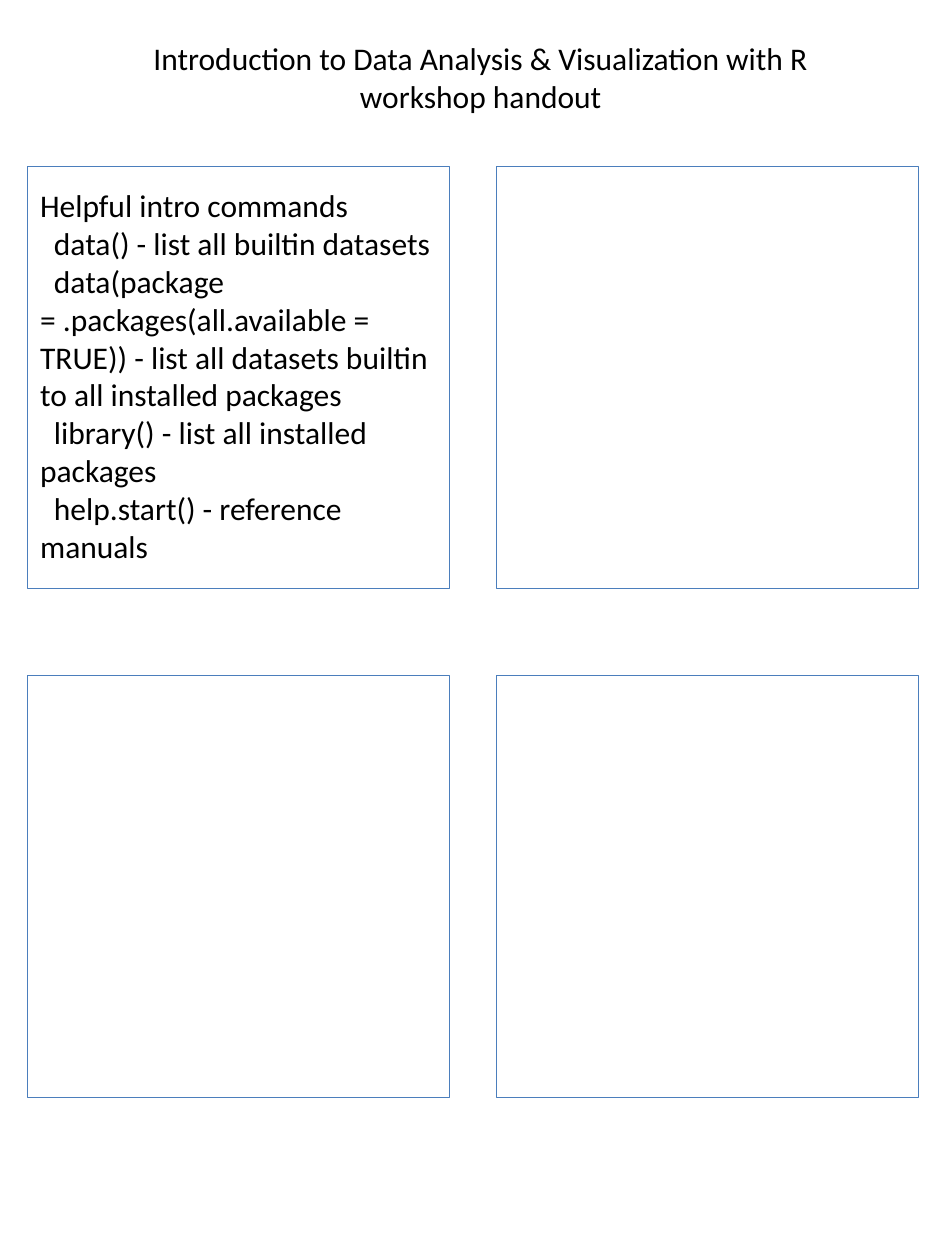
from dataclasses import dataclass
from itertools import product

from pptx import Presentation
from pptx.dml.color import RGBColor
from pptx.enum.shapes import MSO_SHAPE as Shape
from pptx.enum.text import MSO_ANCHOR as Anchor, MSO_AUTO_SIZE as AutoSize, PP_ALIGN as Align
from pptx.slide import Slide
from pptx.text.text import TextFrame
from pptx.util import Inches, Pt

COLORS = {"text": "000000", "panel_line": "4B7EBC"}
PANEL_SIZE = 3.35
PANEL_LEFTS = (0.22, 3.94)
PANEL_TOPS = (1.32, 5.36)
COMMAND_INDENT = 0.11


@dataclass
class Box:
    left: float
    top: float
    width: float
    height: float

    def lengths(self) -> tuple:
        return tuple(Inches(value) for value in (self.left, self.top, self.width, self.height))


@dataclass
class Line:
    text: str
    indent: float = 0


TITLE_BOX = Box(0.39, 0.26, 6.85, 0.71)
COMMANDS_BOX = Box(0.22, 1.43, PANEL_SIZE, 3.43)
TITLE_LINES = [
    Line("Introduction to Data Analysis & Visualization with R"),
    Line("workshop handout"),
]
COMMAND_LINES = [
    Line("Helpful intro commands"),
    Line("data() - list all builtin datasets", COMMAND_INDENT),
    Line(
        "data(package = .packages(all.available = TRUE)) - list all datasets builtin to all installed packages",
        COMMAND_INDENT,
    ),
    Line("library() - list all installed packages", COMMAND_INDENT),
    Line("help.start() - reference manuals", COMMAND_INDENT),
]


def write_lines(frame: TextFrame, lines: list[Line], alignment: Align) -> None:
    frame.word_wrap = True
    frame.auto_size = AutoSize.SHAPE_TO_FIT_TEXT
    frame.vertical_anchor = Anchor.TOP
    for index, line in enumerate(lines):
        paragraph = frame.add_paragraph() if index else frame.paragraphs[0]
        paragraph.alignment = alignment
        if line.indent:
            paragraph._p.get_or_add_pPr().set("indent", str(Inches(line.indent)))
        run = paragraph.add_run()
        run.text = line.text
        run.font.name = "Calibri"
        run.font.size = Pt(18)
        run.font.color.rgb = RGBColor.from_string(COLORS["text"])


def add_title(slide: Slide, box: Box) -> None:
    title = slide.shapes.title
    title.left, title.top, title.width, title.height = box.lengths()
    write_lines(title.text_frame, TITLE_LINES, Align.CENTER)


def add_panel(slide: Slide, box: Box) -> None:
    panel = slide.shapes.add_shape(Shape.RECTANGLE, *box.lengths())
    panel.shadow.inherit = False
    panel.fill.background()
    panel.line.color.rgb = RGBColor.from_string(COLORS["panel_line"])
    panel.line.width = Pt(0.75)


def add_commands(slide: Slide, box: Box) -> None:
    commands = slide.shapes.add_textbox(*box.lengths())
    write_lines(commands.text_frame, COMMAND_LINES, Align.LEFT)


def main() -> None:
    presentation = Presentation()
    presentation.slide_width = Inches(7.5)
    presentation.slide_height = Inches(10)
    slide = presentation.slides.add_slide(presentation.slide_layouts.get_by_name("Title Only"))
    add_title(slide, TITLE_BOX)
    for top, left in product(PANEL_TOPS, PANEL_LEFTS):
        add_panel(slide, Box(left, top, PANEL_SIZE, PANEL_SIZE))
    add_commands(slide, COMMANDS_BOX)
    presentation.save("out.pptx")


if __name__ == "__main__":
    main()
